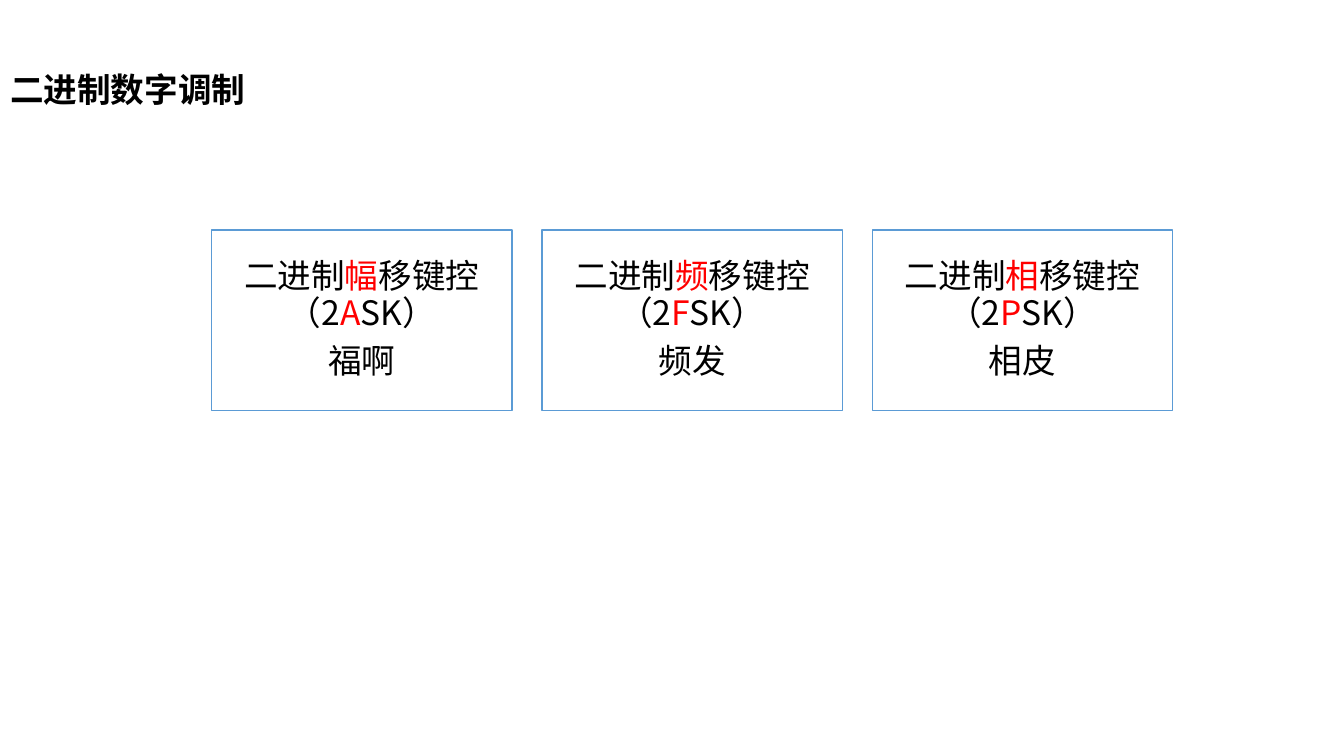
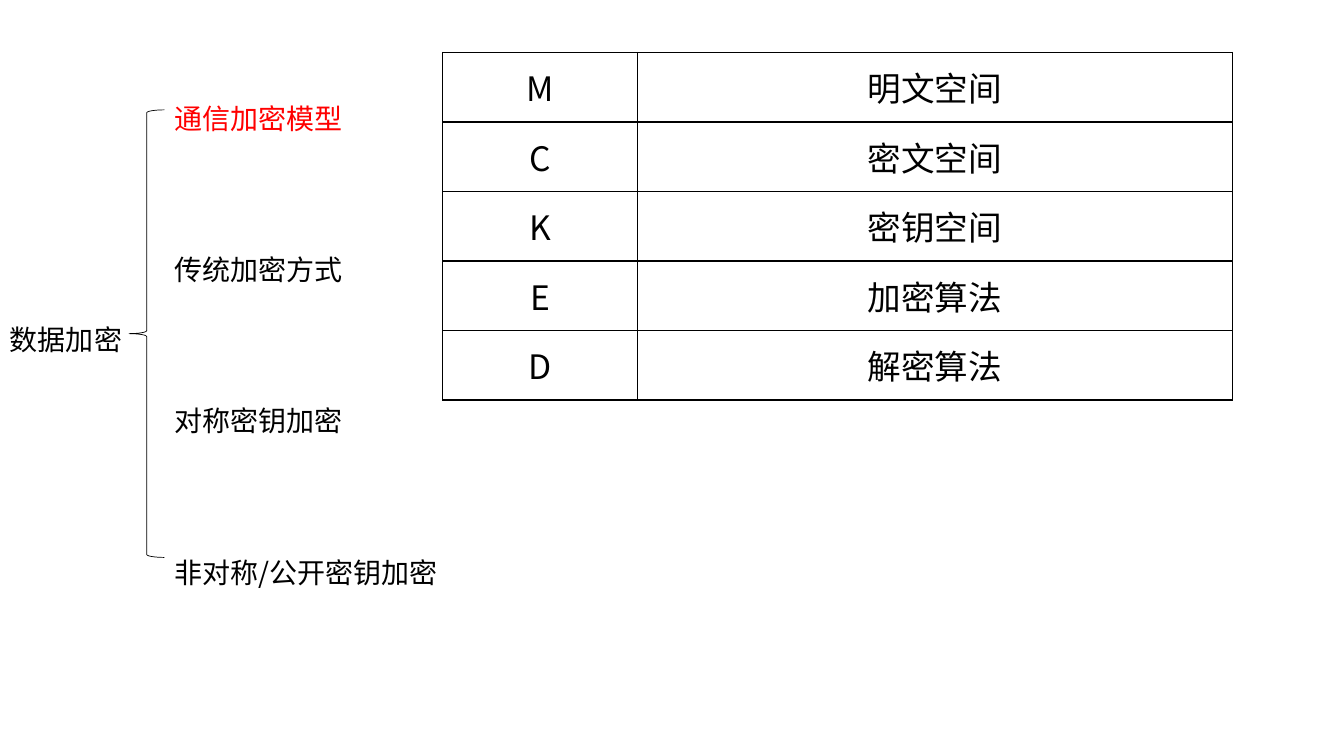
from lxml.etree import SubElement
from pptx import Presentation
from pptx.dml.color import RGBColor
from pptx.enum.shapes import MSO_SHAPE as Shape
from pptx.enum.text import MSO_ANCHOR as Anchor, MSO_AUTO_SIZE as AutoSize, PP_ALIGN as Align
from pptx.oxml.ns import qn
from pptx.util import Inches, Pt

FONT = "Noto Sans CJK SC"
BLACK = RGBColor(0x00, 0x00, 0x00)
WHITE = RGBColor(0xFF, 0xFF, 0xFF)
RED = RGBColor(0xFF, 0x00, 0x00)
BLUE = RGBColor(0x5B, 0x9B, 0xD5)

TITLE_ONLY, BLANK = 5, 6

KEYING_CARDS = [
    (["二进制", "幅", "移键控（2", "A", "SK）"], "福啊"),
    (["二进制", "频", "移键控（2", "F", "SK）"], "频发"),
    (["二进制", "相", "移键控（2", "P", "SK）"], "相皮"),
]
ENCRYPTION_TOPICS = ["通信加密模型", "传统加密方式", "对称密钥加密", "非对称/公开密钥加密"]
SYMBOLS = [("M", "明文空间"), ("C", "密文空间"), ("K", "密钥空间"),
           ("E", "加密算法"), ("D", "解密算法")]


def style(paragraph, size, align, color=BLACK, bold=False):
    """Format a whole paragraph, for Latin and East Asian letters alike."""
    paragraph.alignment = align
    font = paragraph.font
    font.size, font.bold, font.name = Pt(size), bold, FONT
    font.color.rgb = color
    defaults = paragraph._p.find(qn("a:pPr")).find(qn("a:defRPr"))
    SubElement(defaults, qn("a:ea"), typeface=FONT)


def add_title(slide, text, left, top, width, height):
    """Place and format the slide title."""
    title = slide.shapes.title
    title.left, title.top = Inches(left), Inches(top)
    title.width, title.height = Inches(width), Inches(height)
    frame = title.text_frame
    frame.text = text
    frame.auto_size = AutoSize.NONE
    frame.vertical_anchor = Anchor.TOP
    heading = frame.paragraphs[0]
    heading.line_spacing = Pt(37)
    style(heading, 24, Align.LEFT, bold=True)


def add_card(slide, name_parts, mnemonic, left, top, width, height):
    """Draw one keying method, with every second part of its name in red."""
    card = slide.shapes.add_shape(Shape.RECTANGLE, Inches(left), Inches(top),
                                  Inches(width), Inches(height))
    card.shadow.inherit = False
    card.fill.solid()
    card.fill.fore_color.rgb = WHITE
    card.line.color.rgb = BLUE
    card.line.width = Pt(1)
    frame = card.text_frame
    frame.word_wrap = True
    frame.vertical_anchor = Anchor.MIDDLE
    frame.margin_left = frame.margin_right = Inches(0.1)
    frame.margin_top = frame.margin_bottom = Inches(0.1)
    method = frame.paragraphs[0]
    for index, part in enumerate(name_parts):
        run = method.add_run()
        run.text = part
        if index % 2:
            run.font.color.rgb = RED
    hint = frame.add_paragraph()
    hint.text = mnemonic
    for paragraph in (method, hint):
        paragraph.line_spacing = 0.9
        paragraph.space_after = Pt(8.4)
        style(paragraph, 24, Align.CENTER)


def add_cards(slide, left, top, width, height, gap):
    """Lay the keying cards out in an evenly spaced row."""
    card_width = (width - gap * (len(KEYING_CARDS) - 1)) / len(KEYING_CARDS)
    for index, (name_parts, mnemonic) in enumerate(KEYING_CARDS):
        add_card(slide, name_parts, mnemonic,
                 left + index * (card_width + gap), top, card_width, height)


def add_text(slide, lines, left, top, width, height, spacing=1.0, gap=0, highlight=None):
    """Add a text box with one paragraph a line, the highlighted one in red."""
    box = slide.shapes.add_textbox(Inches(left), Inches(top), Inches(width), Inches(height))
    frame = box.text_frame
    frame.word_wrap = True
    for index, line in enumerate(lines):
        paragraph = frame.add_paragraph() if index else frame.paragraphs[0]
        paragraph.text = line
        paragraph.line_spacing = spacing
        if index:
            paragraph.space_before = Pt(gap)
        style(paragraph, 20, Align.JUSTIFY, RED if line == highlight else BLACK)


def add_topic_tree(slide, left, top, height):
    """Draw the root topic, its brace and the branches."""
    add_text(slide, ["数据加密"], left, top + 2.36, 2.6, 0.44)
    brace = slide.shapes.add_shape(Shape.LEFT_BRACE, Inches(left + 1.28), Inches(top + 0.3),
                                   Inches(0.35), Inches(4.44))
    brace.shadow.inherit = False
    brace.fill.background()
    brace.line.color.rgb = BLACK
    brace.line.width = Pt(0.5)
    add_text(slide, ENCRYPTION_TOPICS, left + 1.63, top, 4.96, height,
             spacing=1.5, gap=72, highlight=ENCRYPTION_TOPICS[0])


def add_borders(cell):
    """Give a table cell thin black borders ahead of its fill."""
    properties = cell._tc.get_or_add_tcPr()
    for index, side in enumerate(("a:lnL", "a:lnR", "a:lnT", "a:lnB")):
        border = SubElement(properties, qn(side), w=str(Pt(1)))
        fill = SubElement(border, qn("a:solidFill"))
        SubElement(fill, qn("a:srgbClr"), val=str(BLACK))
        properties.insert(index, border)


def add_symbol_table(slide, left, top, column_widths, row_height):
    """Draw the table that explains the model's symbols."""
    table = slide.shapes.add_table(
        len(SYMBOLS), len(column_widths), Inches(left), Inches(top),
        Inches(sum(column_widths)), Inches(row_height * len(SYMBOLS))).table
    table.first_row = table.horz_banding = False
    for column, width in zip(table.columns, column_widths):
        column.width = Inches(width)
    for row, texts in zip(table.rows, SYMBOLS):
        row.height = Inches(row_height)
        for cell, text in zip(row.cells, texts):
            cell.text = text
            cell.vertical_anchor = Anchor.MIDDLE
            cell.fill.solid()
            cell.fill.fore_color.rgb = WHITE
            add_borders(cell)
            style(cell.text_frame.paragraphs[0], 24, Align.CENTER)


def build_modulation_slide(deck):
    """Build the slide on binary digital modulation."""
    slide = deck.slides.add_slide(deck.slide_layouts[TITLE_ONLY])
    add_title(slide, "二进制数字调制", 0, 0.52, 10.94, 0.57)
    add_cards(slide, 2.1, 2.28, 9.53, 1.79, gap=0.3)


def build_encryption_slide(deck):
    """Build the slide on data encryption."""
    slide = deck.slides.add_slide(deck.slide_layouts[BLANK])
    add_topic_tree(slide, 0, 0.79, 5.15)
    add_symbol_table(slide, 4.39, 0.52, (1.93, 5.9), 0.69)


def main():
    """Build and save the presentation."""
    deck = Presentation()
    deck.slide_width, deck.slide_height = Inches(13.33), Inches(7.5)
    build_modulation_slide(deck)
    build_encryption_slide(deck)
    deck.save("out.pptx")


if __name__ == "__main__":
    main()
